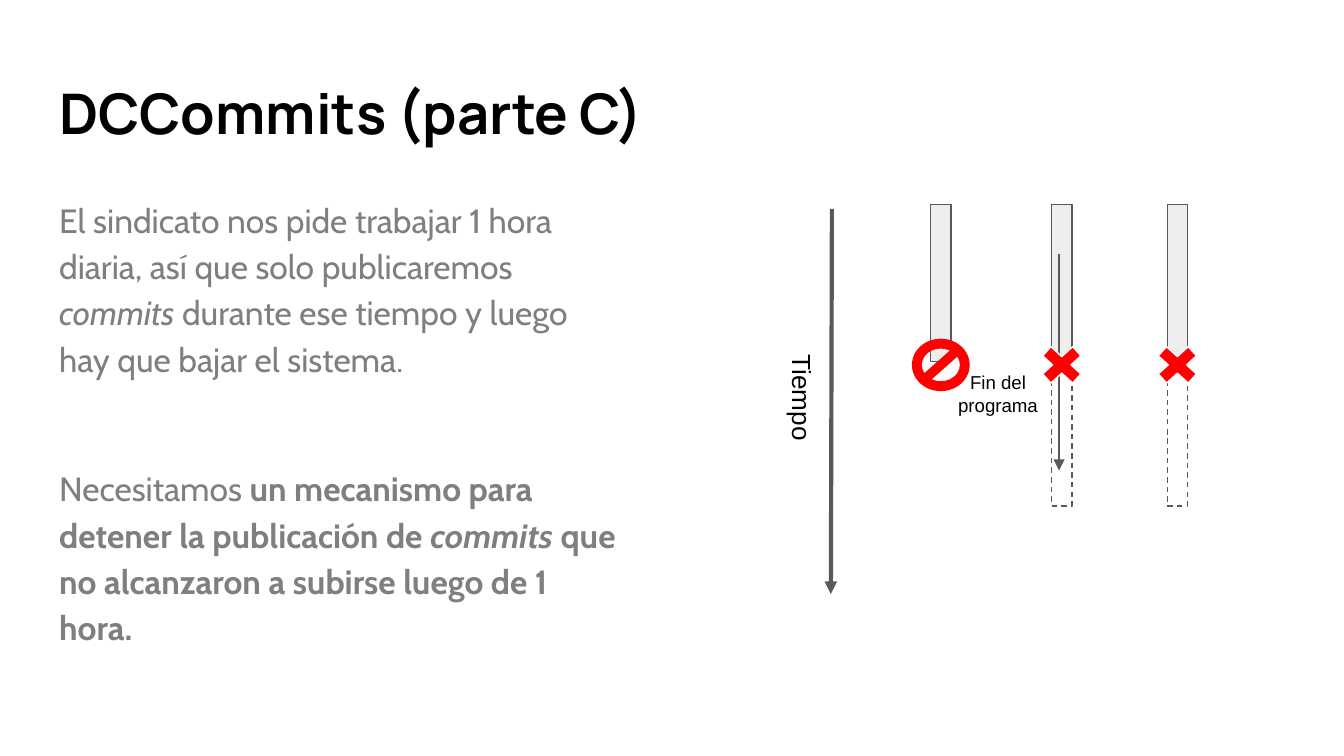
from dataclasses import dataclass

from lxml.etree import SubElement
from pptx import Presentation
from pptx.dml.color import RGBColor as RGB
from pptx.enum.dml import MSO_LINE as Dash
from pptx.enum.shapes import MSO_CONNECTOR as Conn, MSO_SHAPE as Geo
from pptx.enum.text import MSO_ANCHOR as Anchor, MSO_AUTO_SIZE as Fit, PP_ALIGN as Align
from pptx.oxml.ns import qn
from pptx.util import Inches, Pt


@dataclass(frozen=True)
class Theme:
    ink: RGB = RGB(0, 0, 0)
    body: RGB = RGB(0x7F, 0x7F, 0x7F)
    line: RGB = RGB(0x59, 0x59, 0x59)
    bar: RGB = RGB(0xEE, 0xEE, 0xEE)
    paper: RGB = RGB(255, 255, 255)
    alert: RGB = RGB(255, 0, 0)
    title_font: str = "Manrope"
    body_font: str = "Cabin"
    label_font: str = "Arial"
    title_size: int = 30
    body_size: int = 18
    axis_size: int = 14
    note_size: int = 10
    thin: float = 0.75
    thick: float = 2.25


def apply(obj, values):
    for name, value in values.items():
        setattr(obj, name, value)


class Deck:
    """Draws styled elements on a grid of 100 columns with square cells."""

    def __init__(self, theme):
        self.t = theme
        self.prs = Presentation()
        width = Inches(10)
        apply(self.prs, {"slide_width": width, "slide_height": width * 9 // 16})
        self.cell = width / 100
        self.s = self.prs.slides.add_slide(self.prs.slide_layouts[5])
        self.paint(self.s.background, theme.paper)

    def grid(self, *cells):
        return [round(c * self.cell) for c in cells]

    def paint(self, obj, color):
        obj.fill.solid()
        obj.fill.fore_color.rgb = color

    def frame(self, sp, anchor, paragraphs, font, size, color, align=Align.LEFT, **spacing):
        tf = sp.text_frame
        margins = dict.fromkeys(("margin_left", "margin_top", "margin_right", "margin_bottom"), Inches(0.1))
        apply(tf, {"word_wrap": True, "auto_size": Fit.NONE, "vertical_anchor": anchor, **margins})
        for i, runs in enumerate(paragraphs):
            p = tf.add_paragraph() if i else tf.paragraphs[0]
            apply(p, {"alignment": align, "space_before": Pt(0), **spacing})
            for text, style in runs:
                r = p.add_run()
                r.text = text
                apply(r.font, {"name": font, "size": Pt(size), "bold": False, "italic": False, **style})
                r.font.color.rgb = color
        return tf

    def title(self, text, *box):
        sp = self.s.shapes.title
        apply(sp, dict(zip(("left", "top", "width", "height"), self.grid(*box))))
        self.frame(sp, Anchor.TOP, [[(text, {"bold": True})]],
                   self.t.title_font, self.t.title_size, self.t.ink)

    def body(self, paragraphs, gap, *box):
        sp = self.s.shapes.add_textbox(*self.grid(*box))
        tf = self.frame(sp, Anchor.MIDDLE, paragraphs, self.t.body_font,
                        self.t.body_size, self.t.body, line_spacing=1.15)
        apply(tf.paragraphs[-1], {"space_before": Pt(gap), "space_after": Pt(10)})

    def label(self, text, size, *box, rotation=0):
        sp = self.s.shapes.add_textbox(*self.grid(*box))
        sp.rotation = rotation
        self.frame(sp, Anchor.BOTTOM, [[(text, {})]], self.t.label_font, size, self.t.ink, Align.CENTER)

    def shape(self, geo, center, middle, length, breadth, fill, line=None, dash=None):
        box = center - length / 2, middle - breadth / 2, length, breadth
        sp = self.s.shapes.add_shape(geo, *self.grid(*box))
        sp.shadow.inherit = False
        sp.rotation = 90
        self.paint(sp, fill)
        if line is None:
            sp.line.fill.background()
        else:
            sp.line.color.rgb = line
            apply(sp.line, {"width": Pt(self.t.thin), "dash_style": dash})
        return sp

    def bar(self, center, middle, length, fill, dash=None):
        self.shape(Geo.RECTANGLE, center, middle, length, 1.5, fill, self.t.line, dash)

    def sign(self, geo, center, adjust, line=None):
        sp = self.shape(geo, center, 27.15, 3.9, 4.3, self.t.alert, line)
        sp.adjustments[0] = adjust

    def arrow(self, x1, y1, x2, y2, width):
        c = self.s.shapes.add_connector(Conn.STRAIGHT, *self.grid(x1, y1, x2, y2))
        c.line.color.rgb = self.t.line
        c.line.width = Pt(width)
        SubElement(c.line._get_or_add_ln(), qn("a:tailEnd"), type="triangle")
        SubElement(c._element.spPr, qn("a:effectLst"))


def main():
    t = Theme()
    d = Deck(t)
    stopped, *cut = lanes = 70, 79, 87.6
    strong = {"bold": True}

    d.title("DCCommits (parte C)", 3.4, 4.85, 93.2, 6.8)
    d.body([
        [("El sindicato nos pide trabajar 1 hora diaria, así que solo publicaremos ", {}),
         ("commits", {"italic": True}),
         (" durante ese tiempo y luego hay que bajar el sistema.", {})],
        [("Necesitamos ", {}),
         ("un mecanismo para detener la publicación de ", strong),
         ("commits", {"bold": True, "italic": True}),
         (" que no alcanzaron a subirse luego de 1 hora.", strong)],
    ], 44.6, 3.42, 12.6, 43.7, 37.4)

    d.label("Tiempo", t.axis_size, 47.3, 25.3, 29.1, 8.6, rotation=90)
    d.arrow(61.9, 15.55, 61.82, 44.2, t.thick)
    for lane in lanes:
        d.bar(lane, 21.05, 11.7, t.bar)
    for lane in cut:
        d.bar(lane, 32.3, 10.7, t.paper, Dash.DASH)
    d.arrow(78.8, 18.9, 78.8, 35, t.thin)
    for lane in cut:
        d.sign(Geo.MATH_MULTIPLY, lane, 0.235, t.paper)
    d.sign(Geo.NO_SYMBOL, stopped, 0.188)
    d.label("Fin del programa", t.note_size, 70, 27.65, 8.5, 4.3)

    d.prs.save("out.pptx")


if __name__ == "__main__":
    main()
